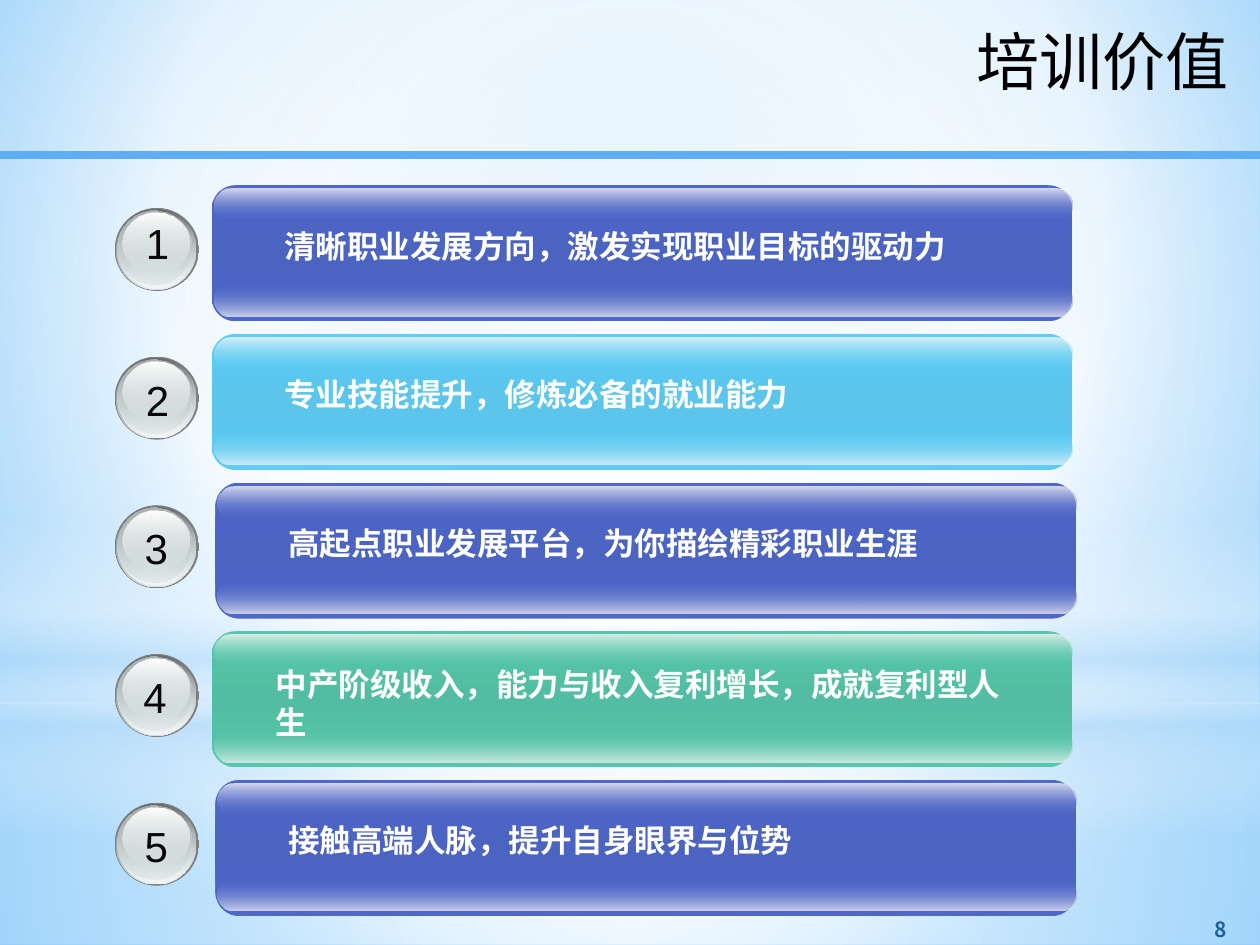
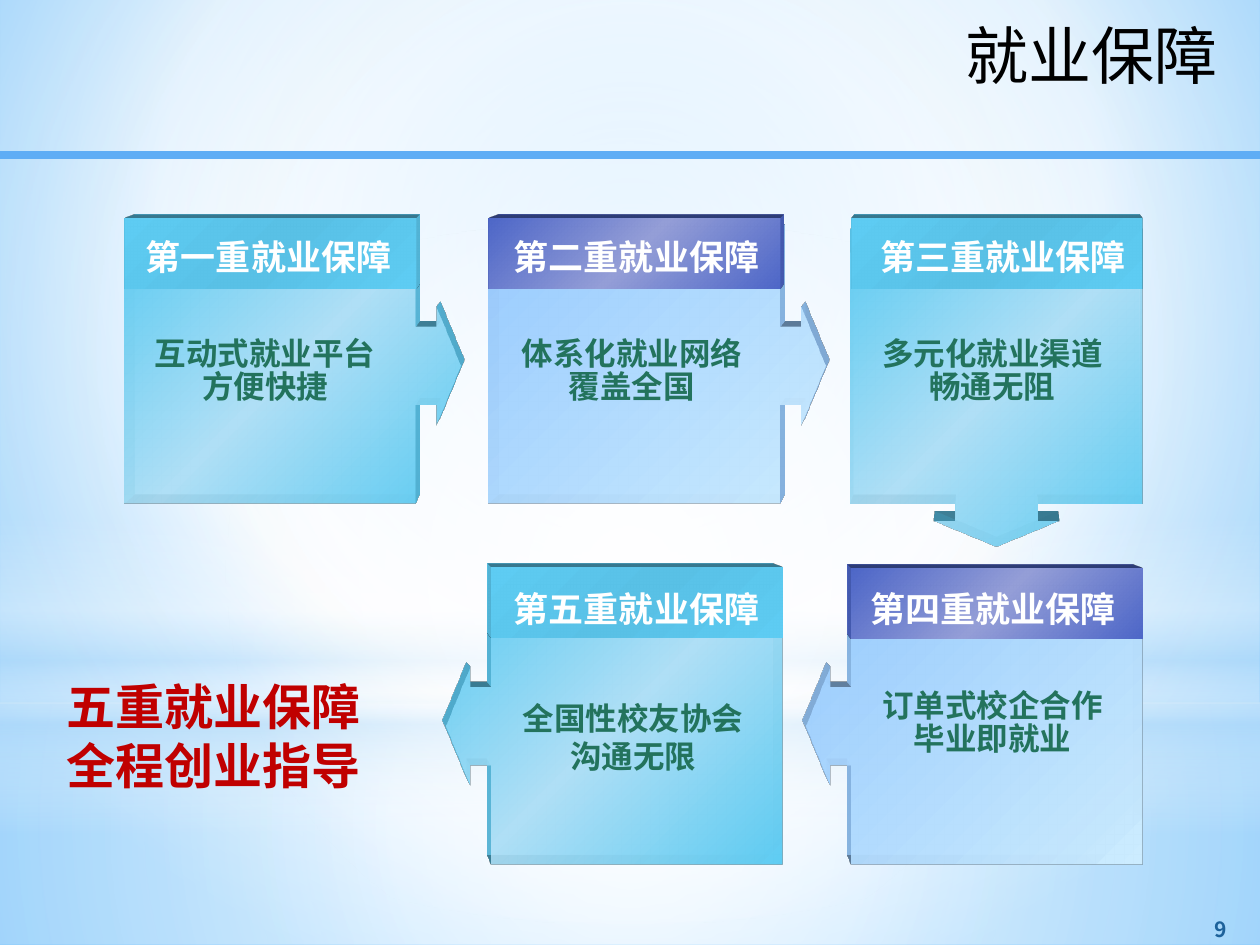
"""Build two training slides: the value list and the chain of job guarantees."""
from lxml import etree
from pptx import Presentation
from pptx.dml.color import RGBColor
from pptx.enum.shapes import MSO_CONNECTOR, MSO_SHAPE as SHAPE
from pptx.enum.text import MSO_ANCHOR as ANCHOR, MSO_AUTO_SIZE as AUTO_SIZE, PP_ALIGN as ALIGN
from pptx.oxml import parse_xml
from pptx.oxml.ns import nsdecls, qn
from pptx.util import Inches, Pt

COLOURS = {
    "white": "FFFFFF", "black": "000000", "digit": "080808", "rule": "5FADF5",
    "page": "1D629B", "haze": "B4DCFA", "sky": "9ED5FF", "sky_edge": "5BB9FF",
    "blue": "4E67C8", "blue_mid": "4B63C1", "blue_top": "D9DBEE", "blue_foot": "CED2EA",
    "blue_shine": "949ED7", "cyan": "5ECCF3", "cyan_mid": "5BC5EB", "cyan_top": "DAF0FB",
    "cyan_foot": "D1ECFA", "cyan_deep": "59C1E6", "cyan_shine": "B0E0F7",
    "green": "56C7AA", "green_mid": "52BDA2", "green_top": "DAEEE7", "green_foot": "CFEAE1",
    "ice": "99CCFF", "ice_light": "CCECFF", "body": "23735D", "slogan": "C00000",
    "ring": "808080", "steel": "636869", "silver": "D6E1E2", "pearl": "F1F5F5", "ash": "AAB2B3",
}
CJK_FONT = "Noto Sans CJK SC"


def paint(properties, stops, direction):
    """Swap the empty fill for a gradient; direction is an angle or a focus rectangle."""
    marks = "".join(
        f'<a:gs pos="{position * 1000}"><a:srgbClr val="{COLOURS[name]}">'
        f'<a:alpha val="{alpha * 1000}"/></a:srgbClr></a:gs>'
        for position, name, alpha in stops)
    if isinstance(direction, tuple):
        left, top, right, bottom = (edge * 1000 for edge in direction)
        course = (f'<a:path path="circle"><a:fillToRect l="{left}" t="{top}" '
                  f'r="{right}" b="{bottom}"/></a:path>')
    else:
        course = f'<a:lin ang="{direction * 60000}" scaled="1"/>'
    gradient = parse_xml(f'<a:gradFill {nsdecls("a")} rotWithShape="1">'
                         f'<a:gsLst>{marks}</a:gsLst>{course}</a:gradFill>')
    properties.replace(properties.find(qn("a:noFill")), gradient)


def add_text(slide, box, lines, size, colour, font="Arial", bold=True, align=ALIGN.LEFT,
             wrap=True, line_spacing=None, gap=0):
    """Add a text box with one paragraph per line."""
    frame = slide.shapes.add_textbox(*map(Inches, box)).text_frame
    frame.word_wrap = wrap
    frame.text = "\n".join(lines)
    for index, paragraph in enumerate(frame.paragraphs):
        paragraph.alignment = align
        paragraph.line_spacing = line_spacing
        if index and gap:
            paragraph.space_before = Pt(gap)
        paragraph.font.size = Pt(size)
        paragraph.font.name = font
        paragraph.font.bold = bold
        paragraph.font.color.rgb = RGBColor.from_string(COLOURS[colour])
    return frame


presentation = Presentation()
presentation.slide_width = Inches(10)
presentation.slide_height = Inches(7.5)
first_number = 8
presentation.element.set("firstSlideNum", str(first_number))
master = presentation.slide_master
master.background.fill.background()
paint(master.element.find(".//" + qn("p:bgPr")),
      [(0, "sky", 100), (60, "white", 100), (100, "sky_edge", 100)], (20, 10, 20, 60))

headers = [("培训价值", (3.43, 0.13, 6.42, 1.02)), ("就业保障", (3.34, 0.08, 6.42, 1.07))]
for number, (title_text, title_box) in enumerate(headers, first_number):
    slide = presentation.slides.add_slide(presentation.slide_layouts[5])
    title = slide.shapes.title
    title.left, title.top, title.width, title.height = map(Inches, title_box)
    frame = title.text_frame
    frame.text = title_text
    frame.auto_size = AUTO_SIZE.NONE
    frame.vertical_anchor = ANCHOR.TOP
    paragraph = frame.paragraphs[0]
    paragraph.alignment = ALIGN.RIGHT
    paragraph.font.size = Pt(36)
    paragraph.font.name = CJK_FONT
    paragraph.font.color.rgb = RGBColor.from_string(COLOURS["black"])
    frame = add_text(slide, (9.25, 7.21, 0.87, 0.31), [str(number)], 12, "page",
                     CJK_FONT, align=ALIGN.CENTER)
    frame.vertical_anchor = ANCHOR.BOTTOM
value_slide, guarantee_slide = presentation.slides

centre = (50, 50, 50, 50)
backdrop = [
    (SHAPE.RECTANGLE, (0, 5.58, 10, 1.92),
     [(0, "white", 91), (37, "white", 76), (100, "haze", 79)], centre),
    (SHAPE.RECTANGLE, (0, 0, 10, 5.58),
     [(0, "white", 89), (48, "white", 62), (100, "haze", 79)], centre),
    (SHAPE.RECTANGLE, (0, 4.12, 10, 2.5),
     [(0, "white", 0), (29, "white", 30), (45, "haze", 40), (55, "white", 26),
      (65, "haze", 60), (100, "white", 0)], 90),
    (SHAPE.OVAL, (0, 1.75, 10, 5.58), [(0, "white", 100), (56, "white", 0)], centre),
]
pieces = [(value_slide, *piece, (), None) for piece in backdrop]

button_layers = [
    (0, 0, 0.67, 0.66, [(0, "ring", 100), (100, "ring", 100)]),
    (0.01, 0.01, 0.64, 0.64, [(0, "steel", 100), (100, "silver", 100)]),
    (0.02, 0.01, 0.62, 0.63, [(0, "silver", 0), (100, "pearl", 100)]),
    (0.02, 0.02, 0.59, 0.59, [(0, "ash", 100), (100, "silver", 48)]),
    (0.06, 0.04, 0.53, 0.47, [(0, "white", 100), (100, "silver", 38)]),
]
values = [
    ("清晰职业发展方向，激发实现职业目标的驱动力", "blue", 1.68, (2.16, 0.28), (1.04, 0.21)),
    ("专业技能提升，修炼必备的就业能力", "cyan", 1.68, (2.16, 0.28), (1.04, 0.27)),
    ("高起点职业发展平台，为你描绘精彩职业生涯", "blue", 1.71, (2.19, 0.28), (1.03, 0.27)),
    ("中产阶级收入，能力与收入复利增长，成就复利型人生", "green", 1.68, (2.09, 0.22), (1.02, 0.27)),
    ("接触高端人脉，提升自身眼界与位势", "blue", 1.71, (2.19, 0.28), (1.03, 0.27)),
]
row_top, row_pitch = 1.47, 1.18
for row, (sentence, hue, bar_left, sentence_at, digit_at) in enumerate(values):
    top = row_top + row * row_pitch
    bar_layers = [
        (bar_left, top, 6.83, 1.08, 0.175,
         [(0, hue, 100), (50, hue + "_mid", 100), (100, hue, 100)]),
        (bar_left + 0.02, top + 0.78, 6.81, 0.26, 0.5, [(0, hue, 0), (100, hue + "_foot", 100)]),
        (bar_left + 0.02, top + 0.03, 6.81, 0.26, 0.5, [(0, hue + "_top", 100), (100, hue, 0)]),
    ]
    for *box, rounding, stops in bar_layers:
        pieces.append((value_slide, SHAPE.ROUNDED_RECTANGLE, box, stops, 90, (rounding,), None))
    for dx, dy, width, height, stops in button_layers:
        box = (0.91 + dx, top + 0.18 + dy, width, height)
        pieces.append((value_slide, SHAPE.OVAL, box, stops, 90, (), None))

cyan_panel = [(0, "cyan", 100), (50, "cyan_shine", 90), (100, "cyan", 100)]
ice_panel = [(0, "ice", 90), (100, "ice_light", 100)]
cyan_header = [(0, "cyan", 100), (50, "cyan_deep", 100), (100, "cyan", 100)]
blue_header = [(0, "blue", 100), (50, "blue_shine", 100), (100, "blue", 100)]
arrow = (0.284, 0.215, 0.089, 0.865)
guarantees = [
    ("第一重就业保障", ["互动式就业平台", "方便快捷"], SHAPE.RIGHT_ARROW_CALLOUT,
     (0.99, 1.81, 2.67, 2.19), (0.99, 1.73), (1.06, 1.82), (0.97, 2.71), "TopRight"),
    ("第二重就业保障", ["体系化就业网络", "覆盖全国"], SHAPE.RIGHT_ARROW_CALLOUT,
     (3.88, 1.81, 2.67, 2.19), (3.88, 1.73), (3.98, 1.82), (3.88, 2.71), "TopRight"),
    ("第三重就业保障", ["多元化就业渠道", "畅通无阻"], SHAPE.DOWN_ARROW_CALLOUT,
     (6.75, 1.82, 2.32, 2.52), (6.76, 1.73), (6.89, 1.82), (6.74, 2.71), "Top"),
    ("第四重就业保障", ["订单式校企合作", "毕业即就业"], SHAPE.LEFT_ARROW_CALLOUT,
     (6.4, 4.67, 2.67, 2.19), (6.76, 4.51), (6.81, 4.61), (6.74, 5.5), "TopLeft"),
    ("第五重就业保障", ["全国性校友协会沟通无限"], SHAPE.LEFT_ARROW_CALLOUT,
     (3.54, 4.67, 2.67, 2.19), (3.9, 4.5), (3.98, 4.61), (4.01, 5.5), "TopLeft"),
]
for index, (_, _, kind, panel_box, header_at, _, _, view) in enumerate(guarantees):
    is_blue = index in (1, 3)
    pieces.append((guarantee_slide, kind, panel_box, ice_panel if is_blue else cyan_panel,
                   45, arrow, view))
    pieces.append((guarantee_slide, SHAPE.RECTANGLE, (*header_at, 2.31, 0.56),
                   blue_header if is_blue else cyan_header, 45, (), view))

drawn = []
for slide, kind, box, stops, direction, adjustments, view in pieces:
    shape = slide.shapes.add_shape(kind, *map(Inches, box))
    shape.shadow.inherit = False
    shape.line.fill.background()
    shape.fill.background()
    for index, value in enumerate(adjustments):
        shape.adjustments[index] = value
    properties = shape.element.spPr
    paint(properties, stops, direction)
    if view:
        properties.append(parse_xml(
            f'<a:scene3d {nsdecls("a")}><a:camera prst="legacyPerspective{view}"/>'
            '<a:lightRig rig="legacyFlat3" dir="b"/></a:scene3d>'))
        properties.append(parse_xml(
            f'<a:sp3d {nsdecls("a")} extrusionH="201600" prstMaterial="legacyMatte">'
            f'<a:extrusionClr><a:srgbClr val="{COLOURS[stops[0][1]]}"/></a:extrusionClr></a:sp3d>'))
    drawn.append(shape)

rule = value_slide.shapes.add_connector(
    MSO_CONNECTOR.STRAIGHT, Inches(-0.04), Inches(1.23), Inches(10.06), Inches(1.23))
rule.line.width = Pt(4.5)
rule.line.color.rgb = RGBColor.from_string(COLOURS["rule"])
etree.SubElement(rule.element.spPr, qn("a:effectLst"))
for index, shape in enumerate([*drawn[:len(backdrop)], rule], 2):
    master.shapes.element.insert(index, shape.element)

for row, (sentence, _, _, sentence_at, digit_at) in enumerate(values):
    top = row_top + row * row_pitch
    add_text(value_slide, (digit_at[0], top + digit_at[1], 0.42, 0.5), [str(row + 1)], 24,
             "digit", bold=False, align=ALIGN.CENTER)
    add_text(value_slide, (sentence_at[0], top + sentence_at[1], 6.17, 0.4), [sentence], 18, "white")

for heading, lines, _, _, _, heading_at, body_at, _ in guarantees:
    add_text(guarantee_slide, (*heading_at, 2.17, 0.44), [heading], 20, "white", wrap=False)
    is_pair = len(lines) == 2
    add_text(guarantee_slide, (*body_at, 2.27 if is_pair else 2.03, 0.63), lines, 18, "body",
             align=ALIGN.CENTER, line_spacing=0.6 if is_pair else None, gap=6)
add_text(guarantee_slide, (0.43, 5.32, 3.03, 1.04), ["五重就业保障", "全程创业指导"], 28, "slogan")

presentation.save("out.pptx")
